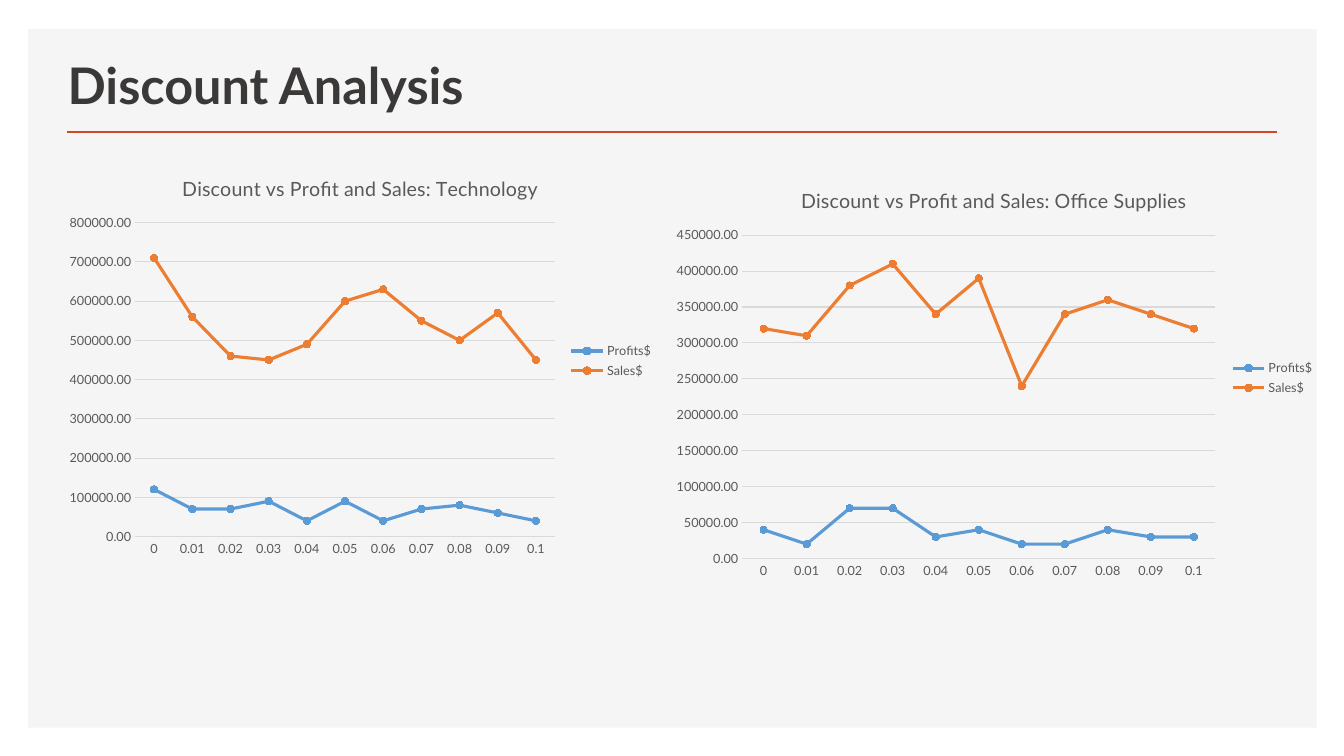
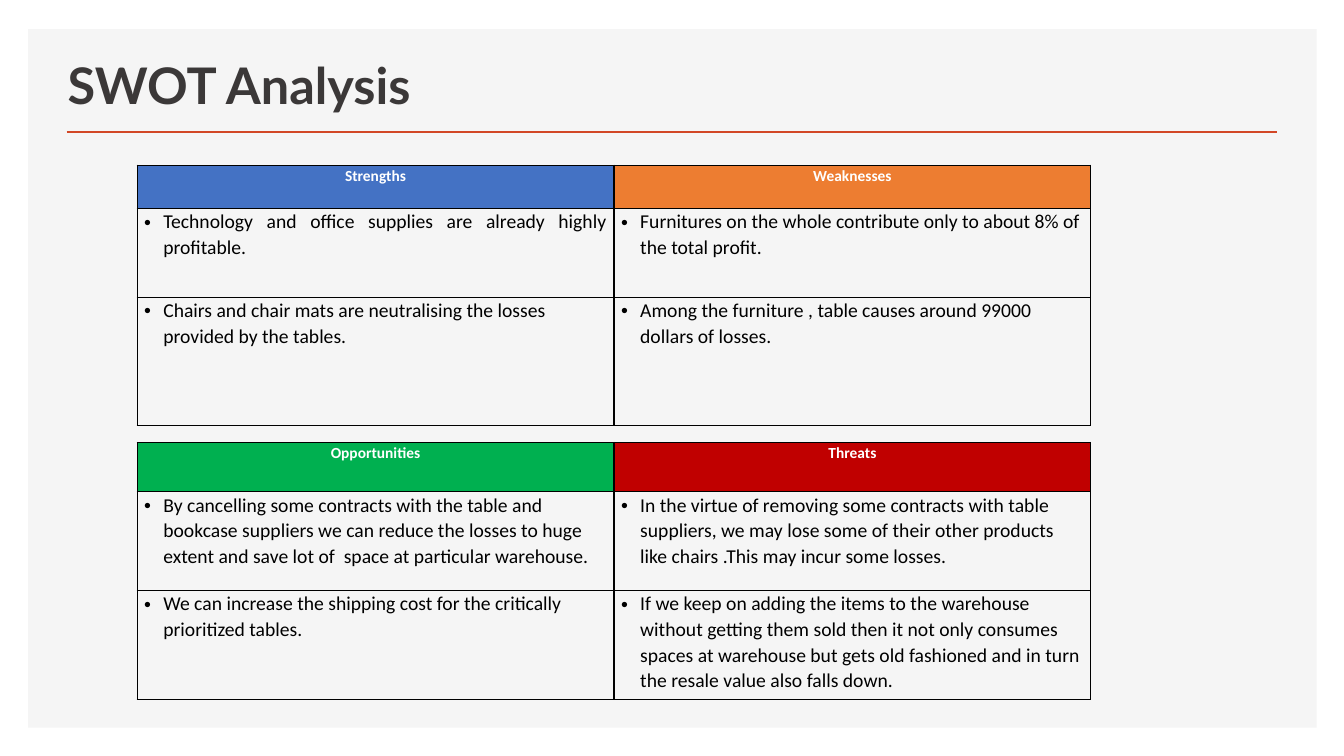
from dataclasses import dataclass

from lxml.etree import SubElement
from pptx import Presentation
from pptx.chart.data import CategoryChartData
from pptx.dml.color import RGBColor
from pptx.enum.chart import XL_CHART_TYPE, XL_LEGEND_POSITION, XL_MARKER_STYLE, XL_TICK_MARK
from pptx.enum.shapes import MSO_CONNECTOR, MSO_SHAPE
from pptx.enum.text import MSO_ANCHOR, MSO_AUTO_SIZE, PP_ALIGN
from pptx.oxml.ns import qn
from pptx.util import Inches, Pt


@dataclass(frozen=True)
class Theme:
    panel: RGBColor = RGBColor.from_string("F5F5F5")
    accent: RGBColor = RGBColor.from_string("D24726")
    title: RGBColor = RGBColor.from_string("3B3838")
    black: RGBColor = RGBColor.from_string("000000")
    white: RGBColor = RGBColor.from_string("FFFFFF")
    label: RGBColor = RGBColor.from_string("595959")
    grid: RGBColor = RGBColor.from_string("D9D9D9")
    profits: RGBColor = RGBColor.from_string("5B9BD5")
    orange: RGBColor = RGBColor.from_string("ED7D31")
    strengths: RGBColor = RGBColor.from_string("4472C4")
    opportunities: RGBColor = RGBColor.from_string("00B050")
    threats: RGBColor = RGBColor.from_string("C00000")
    heading_font: str = "Lato"
    table_font: str = "Calibri"
    title_size: Pt = Pt(36)
    chart_title_size: Pt = Pt(14)
    chart_size: Pt = Pt(10)
    label_size: Pt = Pt(9)
    header_size: Pt = Pt(11)
    bullet_size: Pt = Pt(14)


THEME = Theme()


@dataclass(frozen=True)
class DiscountChart:
    category: str
    box: tuple[float, float, float, float]
    profits: tuple[int, ...]
    sales: tuple[int, ...]


@dataclass(frozen=True)
class Quadrant:
    name: str
    color: RGBColor
    points: tuple[str, str]
    first_align: PP_ALIGN = PP_ALIGN.LEFT


@dataclass(frozen=True)
class SwotTable:
    top: float
    row_heights: tuple[float, ...]
    quadrants: tuple[Quadrant, Quadrant]


DISCOUNTS = ("0", "0.01", "0.02", "0.03", "0.04", "0.05", "0.06", "0.07", "0.08", "0.09", "0.1")

CHARTS = (
    DiscountChart(
        "Technology", (0.57, 1.56, 6.01, 4.04),
        (120000, 70000, 70000, 90000, 40000, 90000, 40000, 70000, 80000, 60000, 40000),
        (710000, 560000, 460000, 450000, 490000, 600000, 630000, 550000, 500000, 570000, 450000),
    ),
    DiscountChart(
        "Office Supplies", (6.58, 1.68, 6.56, 4.14),
        (40000, 20000, 70000, 70000, 30000, 40000, 20000, 20000, 40000, 30000, 30000),
        (320000, 310000, 380000, 410000, 340000, 390000, 240000, 340000, 360000, 340000, 320000),
    ),
)

SWOT = (
    SwotTable(1.64, (0.43, 0.88, 1.14 + 0.13), (
        Quadrant("Strengths", THEME.strengths, (
            "Technology and office supplies are already highly profitable.",
            "Chairs and chair mats are neutralising the losses provided by the tables.",
        ), PP_ALIGN.JUSTIFY),
        Quadrant("Weaknesses", THEME.orange, (
            "Furnitures on the whole contribute only to about 8% of the total profit.",
            "Among the furniture , table causes around 99000 dollars of losses.",
        )),
    )),
    SwotTable(4.39, (0.49, 0.98, 1.08), (
        Quadrant("Opportunities", THEME.opportunities, (
            "By cancelling some contracts with the table and bookcase suppliers we can reduce "
            "the losses to huge extent and save lot of  space at particular warehouse.",
            "We can increase the shipping cost for the critically prioritized tables.",
        )),
        Quadrant("Threats", THEME.threats, (
            "In the virtue of removing some contracts with table suppliers, we may lose some of "
            "their other products like chairs .This may incur some losses.",
            "If we keep on adding the items to the warehouse without getting them sold then it "
            "not only consumes spaces at warehouse but gets old fashioned and in turn the resale "
            "value also falls down.",
        )),
    )),
)


def set_font(font, name: str, size: Pt, color: RGBColor, bold: bool = False) -> None:
    font.name, font.size, font.bold = name, size, bold
    font.color.rgb = color


def add_backdrop(slide) -> None:
    """Draw the panel and title rule, then hand them to the layout all slides share."""
    panel = slide.shapes.add_shape(
        MSO_SHAPE.RECTANGLE, Inches(0.28), Inches(0.29), Inches(12.78), Inches(6.93))
    panel.shadow.inherit = False
    panel.fill.solid()
    panel.fill.fore_color.rgb = THEME.panel
    panel.line.fill.background()

    rule = slide.shapes.add_connector(
        MSO_CONNECTOR.STRAIGHT, Inches(0.66), Inches(1.31), Inches(12.67), Inches(1.31))
    rule.line.color.rgb = THEME.accent
    rule.line.width = Pt(2)
    SubElement(rule._element.spPr, qn("a:effectLst"))

    first = slide.slide_layout.placeholders[0]._element
    for sp in (panel, rule):
        first.addprevious(sp._element)


def add_titled_slide(prs, text: str):
    slide = prs.slides.add_slide(prs.slide_layouts[5])
    title = slide.shapes.title
    title.left, title.top = Inches(0.57), Inches(0.1)
    title.width, title.height = Inches(9.14), Inches(1.09)
    tf = title.text_frame
    tf.text = text
    tf.word_wrap = True
    tf.auto_size = MSO_AUTO_SIZE.NONE
    tf.vertical_anchor = MSO_ANCHOR.BOTTOM
    p = tf.paragraphs[0]
    p.alignment = PP_ALIGN.LEFT
    set_font(p.font, THEME.heading_font, THEME.title_size, THEME.title, bold=True)
    return slide


def add_discount_chart(slide, spec: DiscountChart) -> None:
    data = CategoryChartData()
    data.categories = DISCOUNTS
    data.add_series("Profits$", spec.profits)
    data.add_series("Sales$", spec.sales)
    chart = slide.shapes.add_chart(
        XL_CHART_TYPE.LINE_MARKERS, *map(Inches, spec.box), data).chart
    set_font(chart.font, THEME.heading_font, THEME.chart_size, THEME.black)

    tf = chart.chart_title.text_frame
    tf.text = f"Discount vs Profit and Sales: {spec.category}"
    set_font(tf.paragraphs[0].font, THEME.heading_font, THEME.chart_title_size, THEME.label)

    chart.has_legend = True
    chart.legend.position = XL_LEGEND_POSITION.RIGHT
    chart.legend.include_in_layout = False
    set_font(chart.legend.font, THEME.heading_font, THEME.label_size, THEME.label)

    values = chart.value_axis
    for axis in (chart.category_axis, values):
        axis.major_tick_mark = axis.minor_tick_mark = XL_TICK_MARK.NONE
        set_font(axis.tick_labels.font, THEME.heading_font, THEME.label_size, THEME.label)
    values.tick_labels.number_format = "0.00"
    values.tick_labels.number_format_is_linked = False
    values.format.line.fill.background()
    for line in (chart.category_axis.format.line, values.major_gridlines.format.line):
        line.color.rgb = THEME.grid
        line.width = Pt(0.75)

    plot = chart.plots[0]
    plot.vary_by_categories = False
    for series, color in zip(plot.series, (THEME.profits, THEME.orange)):
        series.smooth = False
        series.format.line.color.rgb = color
        series.format.line.width = Pt(2.25)
        marker = series.marker
        marker.style, marker.size = XL_MARKER_STYLE.CIRCLE, 5
        marker.format.fill.solid()
        marker.format.fill.fore_color.rgb = color
        marker.format.line.color.rgb = color


def add_borders(cell) -> None:
    props = cell._tc.get_or_add_tcPr()
    for side in ("lnL", "lnR", "lnT", "lnB"):
        ln = SubElement(props, qn(f"a:{side}"), w=str(Pt(1)))
        fill = SubElement(ln, qn("a:solidFill"))
        SubElement(fill, qn("a:srgbClr"), val=str(THEME.black))


def add_bullet(p) -> None:
    props = p._p.get_or_add_pPr()
    props.set("marL", str(Inches(0.19)))
    props.set("indent", str(-Inches(0.19)))
    SubElement(props, qn("a:buFont"), typeface="Arial")
    SubElement(props, qn("a:buChar"), char="•")


def write_cell(cell, text: str, align: PP_ALIGN, header_color: RGBColor | None = None) -> None:
    """Fill a header cell when a colour is given, otherwise a bulleted body cell."""
    add_borders(cell)
    cell.margin_left = cell.margin_right = Inches(0.07)
    cell.margin_top = cell.margin_bottom = 0
    cell.text = text
    p = cell.text_frame.paragraphs[0]
    if header_color is None:
        cell.fill.background()
        add_bullet(p)
        set_font(p.font, THEME.table_font, THEME.bullet_size, THEME.black)
    else:
        cell.fill.solid()
        cell.fill.fore_color.rgb = header_color
        set_font(p.font, THEME.table_font, THEME.header_size, THEME.white, bold=True)
    p.alignment = align
    p.line_spacing = 1.07


def add_swot_table(slide, spec: SwotTable) -> None:
    table = slide.shapes.add_table(
        len(spec.row_heights), len(spec.quadrants), Inches(1.36), Inches(spec.top),
        Inches(9.46), Inches(sum(spec.row_heights))).table
    table.first_row = table.horz_banding = False
    for row, height in zip(table.rows, spec.row_heights):
        row.height = Inches(height)
    for col, quadrant in enumerate(spec.quadrants):
        first, second = quadrant.points
        write_cell(table.cell(0, col), quadrant.name, PP_ALIGN.CENTER, quadrant.color)
        write_cell(table.cell(1, col), first, quadrant.first_align)
        write_cell(table.cell(2, col), second, PP_ALIGN.LEFT)


def main() -> None:
    prs = Presentation()
    prs.slide_width, prs.slide_height = Inches(13.33), Inches(7.5)

    discount = add_titled_slide(prs, "Discount Analysis")
    add_backdrop(discount)
    for chart in CHARTS:
        add_discount_chart(discount, chart)

    swot = add_titled_slide(prs, "SWOT Analysis")
    for table in SWOT:
        add_swot_table(swot, table)

    prs.save("out.pptx")


if __name__ == "__main__":
    main()
